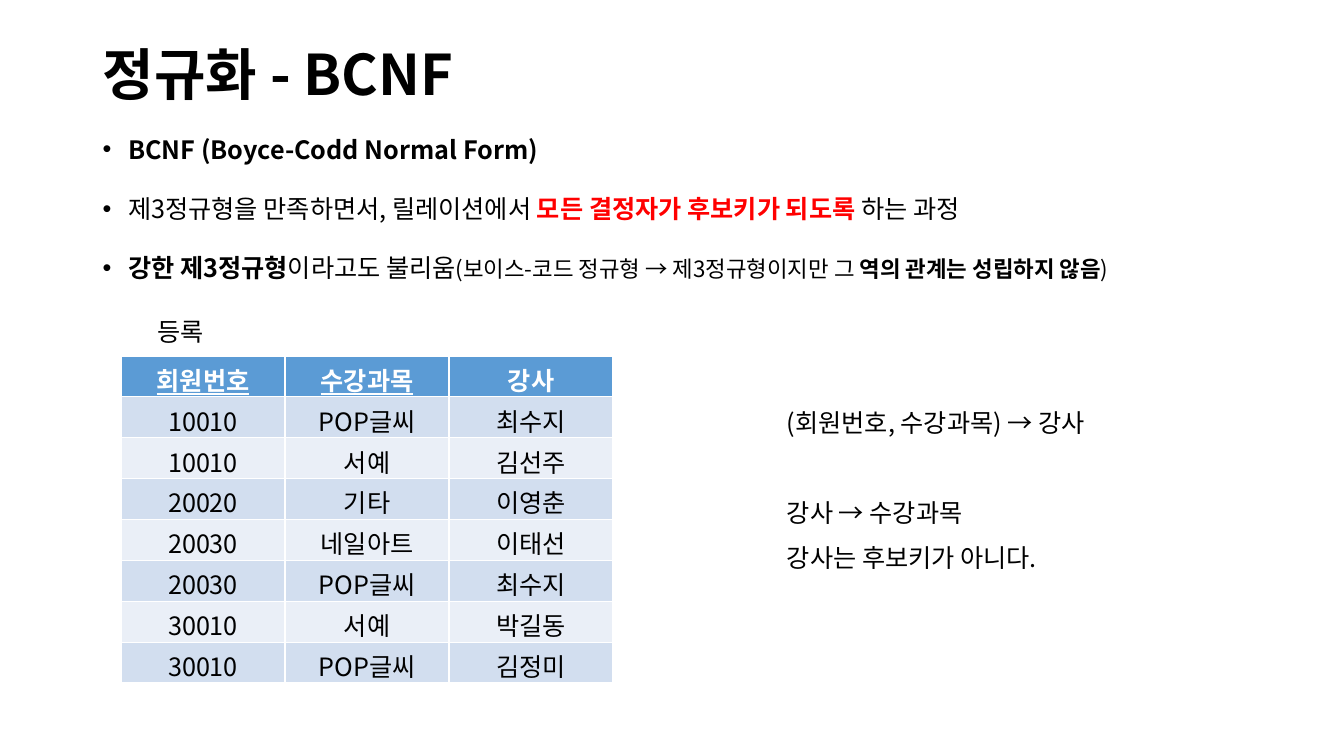
"""Build a slide on Boyce-Codd normal form with an example table."""
from lxml.etree import SubElement
from pptx import Presentation
from pptx.dml.color import RGBColor
from pptx.enum.text import MSO_ANCHOR as Anchor, MSO_AUTO_SIZE as AutoSize, PP_ALIGN as Align
from pptx.oxml.ns import qn
from pptx.util import Cm, Pt

FONT = "Noto Sans CJK KR"


def color(hex_code):
    return RGBColor.from_string(hex_code)


def style(paragraph, size=18, hex_code="000000", bold=False):
    font = paragraph.font
    font.name, font.size, font.bold = FONT, Pt(size), bold
    font.color.rgb = color(hex_code)
    defaults = paragraph._p.pPr.find(qn("a:defRPr"))
    SubElement(defaults, qn("a:ea"), typeface=FONT)


deck = Presentation()
deck.slide_width, deck.slide_height = Cm(33.87), Cm(19.05)
slide = deck.slides.add_slide(deck.slide_layouts[5])
shapes = slide.shapes

title = shapes.title
title.left, title.top, title.width, title.height = Cm(2.34), Cm(1.02), Cm(29.21), Cm(1.85)
heading = title.text_frame
heading.text = "정규화 - BCNF"
heading.auto_size = AutoSize.NONE
heading.vertical_anchor = Anchor.MIDDLE
heading.paragraphs[0].alignment = Align.LEFT
heading.paragraphs[0].line_spacing = 0.9
style(heading.paragraphs[0], 40, bold=True)

points = [
    [("BCNF (Boyce-Codd Normal Form)", True, 18, "000000")],
    [("제3정규형을 만족하면서, 릴레이션에서 ", False, 18, "000000"),
     ("모든 결정자가 후보키가 되도록", True, 18, "FF0000"),
     (" 하는 과정", False, 18, "000000")],
    [("강한 제3정규형", True, 18, "000000"),
     ("이라고도 불리움", False, 18, "000000"),
     ("(보이스-코드 정규형 → 제3정규형이지만 그 ", False, 16, "000000"),
     ("역의 관계는 성립하지 않음", True, 16, "000000"),
     (")", False, 16, "000000")],
]
body = shapes.add_textbox(Cm(2.34), Cm(2.87), Cm(29.21), Cm(13.64)).text_frame
body.word_wrap = True
for index, pieces in enumerate(points):
    point = body.add_paragraph() if index else body.paragraphs[0]
    point.line_spacing = 1.5
    point.space_before = Pt(10 if index else 0)
    props = point._p.get_or_add_pPr()
    props.set("marL", str(Cm(0.64)))
    props.set("indent", str(Cm(-0.64)))
    SubElement(props, qn("a:buFont"), typeface="Arial")
    SubElement(props, qn("a:buChar"), char="•")
    style(point)
    for text, bold, size, hex_code in pieces:
        run = point.add_run()
        run.text = text
        run.font.bold, run.font.size = bold, Pt(size)
        run.font.color.rgb = color(hex_code)

registrations = [
    ("회원번호", "수강과목", "강사"),
    ("10010", "POP글씨", "최수지"),
    ("10010", "서예", "김선주"),
    ("20020", "기타", "이영춘"),
    ("20030", "네일아트", "이태선"),
    ("20030", "POP글씨", "최수지"),
    ("30010", "서예", "박길동"),
    ("30010", "POP글씨", "김정미"),
]
table = shapes.add_table(len(registrations), 3, Cm(3.05), Cm(8.97), Cm(12.4), Cm(8.24)).table
for row, values in enumerate(registrations):
    is_header = row == 0
    fill = "5B9BD5" if is_header else ("EAEFF7", "D2DEEF")[row % 2]
    for column, value in enumerate(values):
        cell = table.cell(row, column)
        cell.text = value
        cell.fill.solid()
        cell.fill.fore_color.rgb = color(fill)
        entry = cell.text_frame.paragraphs[0]
        entry.alignment = Align.CENTER
        style(entry, hex_code="FFFFFF" if is_header else "000000", bold=is_header)
        if is_header and column < 2:
            entry.font.underline = True

caption = shapes.add_textbox(Cm(3.71), Cm(7.85), Cm(2.69), Cm(1.02)).text_frame
caption.word_wrap = True
caption.text = "등록"
style(caption.paragraphs[0])

dependencies = [
    ("(회원번호, 수강과목) → 강사", 0),
    ("강사 → 수강과목", 32),
    ("강사는 후보키가 아니다.", 0),
]
notes = shapes.add_textbox(Cm(19.58), Cm(9.75), Cm(11.63), Cm(5.64)).text_frame
notes.word_wrap = True
for index, (text, gap) in enumerate(dependencies):
    line = notes.add_paragraph() if index else notes.paragraphs[0]
    line.text = text
    line.line_spacing = 1.5
    line.space_before = Pt(gap)
    style(line)

deck.save("out.pptx")
